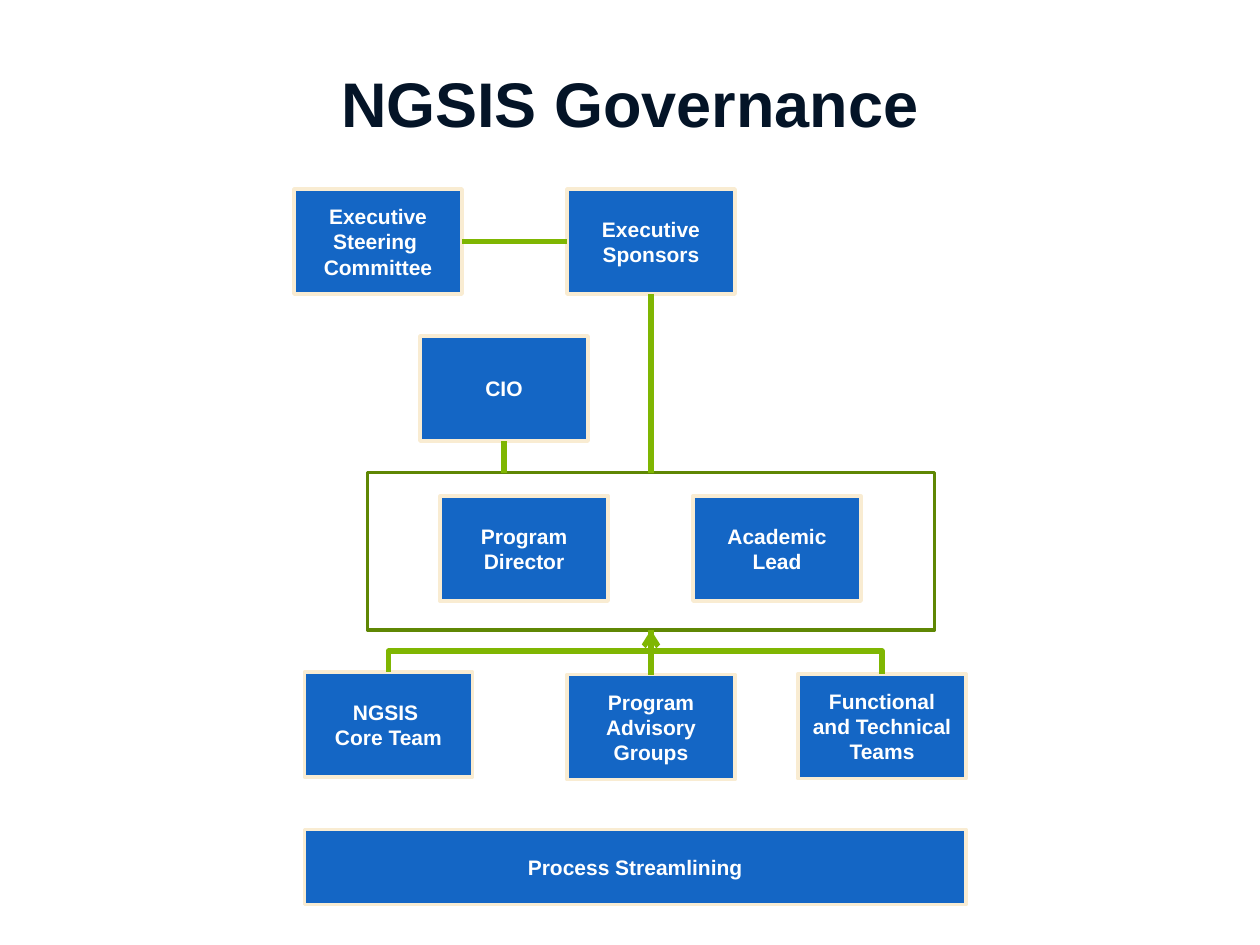
from dataclasses import dataclass

from pptx import Presentation
from pptx.dml.color import RGBColor
from pptx.enum import shapes, text
from pptx.oxml import ns
from pptx.oxml.xmlchemy import OxmlElement
from pptx.util import Pt


@dataclass(frozen=True)
class Theme:
    font: str = "Arial"
    title_size: int = 36
    role_size: int = 12
    title: RGBColor = RGBColor.from_string("041427")
    role_text: RGBColor = RGBColor.from_string("FFFFFF")
    role_fill: RGBColor = RGBColor.from_string("1466C5")
    role_border: RGBColor = RGBColor.from_string("F9ECD2")
    frame: RGBColor = RGBColor.from_string("5F8704")
    link: RGBColor = RGBColor.from_string("7FB602")
    border_width: int = 2
    link_width: int = 3


THEME = Theme()
ROLE_SIZE = (96, 60)
TOP, BOTTOM, LEFT, RIGHT = 0, 2, 1, 3  # connection sites

# name: (left, top, wording)
ROLES = {
    "steering": (168, 108, "Executive Steering \nCommittee"),
    "lead": (396, 283.5, "Academic\nLead"),
    "sponsors": (324, 108, "Executive\nSponsors"),
    "cio": (240, 192, "CIO"),
    "director": (251.5, 283.5, "Program Director"),
    "core": (174, 384, "NGSIS \nCore Team"),
    "advisory": (324, 385.5, "Program Advisory Groups"),
    "functional": (456, 385, "Functional and Technical Teams"),
}


def write(frame, wording, size, color):
    frame.word_wrap = True
    frame.text = wording
    for paragraph in frame.paragraphs:
        paragraph.alignment = text.PP_ALIGN.CENTER
        font = paragraph.font
        font.name, font.size, font.bold = THEME.font, Pt(size), True
        font.color.rgb = color


def add_title(slide, box, wording):
    frame = slide.shapes.add_textbox(*map(Pt, box)).text_frame
    frame.margin_top = frame.margin_bottom = Pt(7.2)
    frame.vertical_anchor = text.MSO_ANCHOR.BOTTOM
    write(frame, wording, THEME.title_size, THEME.title)


def add_box(slide, box, border):
    rectangle = slide.shapes.add_shape(shapes.MSO_SHAPE.RECTANGLE, *map(Pt, box))
    rectangle.shadow.inherit = False
    rectangle.fill.background()
    rectangle.line.color.rgb = border
    rectangle.line.width = Pt(THEME.border_width)
    return rectangle


def add_role(slide, box, wording):
    role = add_box(slide, box, THEME.role_border)
    role.fill.solid()
    role.fill.fore_color.rgb = THEME.role_fill
    role.text_frame.vertical_anchor = text.MSO_ANCHOR.MIDDLE
    write(role.text_frame, wording, THEME.role_size, THEME.role_text)
    return role


def add_link(slide, begin, end, kind=shapes.MSO_CONNECTOR.STRAIGHT):
    link = slide.shapes.add_connector(kind, *map(Pt, (*begin, *end)))
    link.line.color.rgb = THEME.link
    link.line.width = Pt(THEME.link_width)
    link._element.spPr.append(OxmlElement("a:effectLst"))
    return link


def add_rising_elbow(slide, begin, end, preset):
    """Leave begin upwards: the connector is drawn on its side, then turned."""
    run, rise = abs(end[0] - begin[0]), begin[1] - end[1]
    center_x, center_y = (begin[0] + end[0]) / 2, (begin[1] + end[1]) / 2
    side = 1 if begin[0] < end[0] else -1
    elbow = add_link(
        slide,
        (center_x + side * rise / 2, center_y + run / 2),
        (center_x - side * rise / 2, center_y - run / 2),
        shapes.MSO_CONNECTOR.ELBOW,
    )
    properties = elbow._element.spPr
    properties.find(ns.qn("a:xfrm")).set("rot", str((90 if side > 0 else 270) * 60000))
    properties.find(ns.qn("a:prstGeom")).set("prst", preset)
    return elbow


def add_arrowhead(link):
    head = OxmlElement("a:tailEnd")
    head.set("type", "arrow")
    link.line._get_or_add_ln().append(head)


def add_chart_of_roles(slide, frame_box):
    """Place the roles, the leadership frame and the links between them."""
    roles = {
        name: add_role(slide, (left, top, *ROLE_SIZE), wording)
        for name, (left, top, wording) in ROLES.items()
    }
    leadership = add_box(slide, frame_box, THEME.frame)
    left, top, width, height = frame_box
    middle, bottom = left + width / 2, top + height

    def top_center(name):
        return ROLES[name][0] + ROLE_SIZE[0] / 2, ROLES[name][1]

    joined = [
        (roles["steering"], RIGHT, roles["sponsors"], LEFT),
        (roles["sponsors"], BOTTOM, leadership, TOP),
        (roles["advisory"], TOP, leadership, BOTTOM),
    ]
    for source, source_site, target, target_site in joined:
        link = add_link(slide, (0, 0), (0, 0))
        link.begin_connect(source, source_site)
        link.end_connect(target, target_site)

    cio_x, cio_top = top_center("cio")
    cio_link = add_link(slide, (cio_x, cio_top + ROLE_SIZE[1]), (cio_x, top))
    cio_link.begin_connect(roles["cio"], BOTTOM)

    core = top_center("core")
    add_arrowhead(add_rising_elbow(slide, core, (middle, bottom), "bentConnector3"))
    bend = (bottom + core[1]) / 2
    add_rising_elbow(slide, top_center("functional"), (middle, bend), "bentConnector2")


def main():
    deck = Presentation()
    deck.slide_width, deck.slide_height = Pt(720), Pt(540)
    slide = deck.slides.add_slide(deck.slide_layouts[6])
    add_title(slide, (36, 24, 648, 63), "NGSIS Governance")
    add_chart_of_roles(slide, (210, 270, 324, 90))
    add_role(slide, (174, 474, 378, 43), "Process Streamlining")
    deck.save("out.pptx")


if __name__ == "__main__":
    main()
